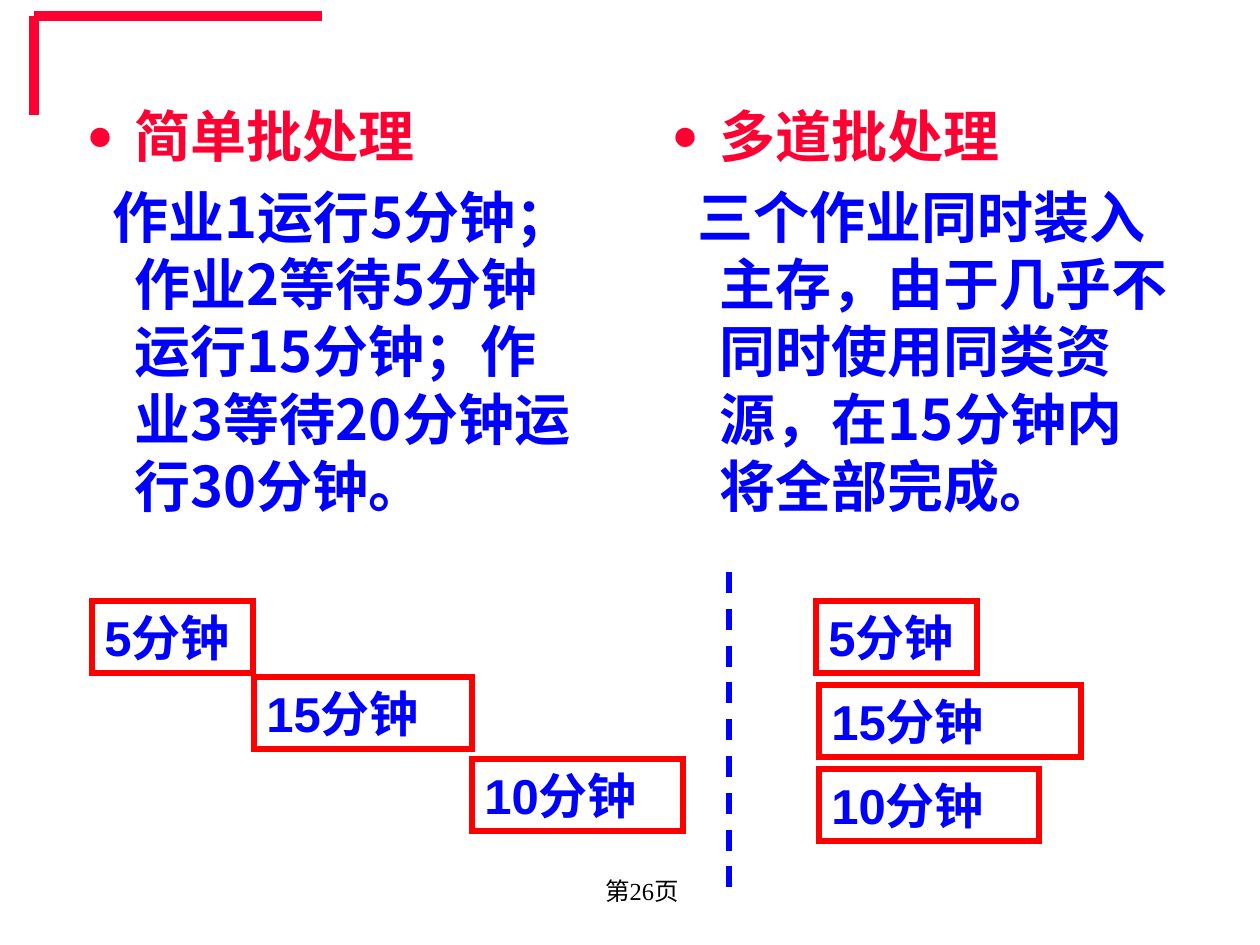
from lxml import etree
from pptx import Presentation
from pptx.dml.color import RGBColor
from pptx.enum.dml import MSO_LINE
from pptx.enum.shapes import MSO_CONNECTOR, MSO_SHAPE
from pptx.enum.text import MSO_ANCHOR, MSO_AUTO_SIZE, PP_ALIGN
from pptx.oxml.ns import qn
from pptx.util import Emu, Pt

STRAIGHT = MSO_CONNECTOR.STRAIGHT
RECTANGLE = MSO_SHAPE.RECTANGLE
DASH = MSO_LINE.DASH
TOP, MIDDLE = MSO_ANCHOR.TOP, MSO_ANCHOR.MIDDLE
LEFT, CENTER = PP_ALIGN.LEFT, PP_ALIGN.CENTER
NO_AUTOFIT = MSO_AUTO_SIZE.NONE

EMU_PER_PX = 914400 / 126
COLORS = {
    "heading": "FF0033",
    "body": "0000FF",
    "box": "FF0000",
    "page": "000000",
}
CJK_FONT = "Noto Sans CJK SC"
BOX_HEIGHT = 72


def px(length):
    return Emu(round(length * EMU_PER_PX))


def rgb(name):
    return RGBColor.from_string(COLORS[name])


def write(paragraph, text, size, color, font, bold=False, align=LEFT):
    paragraph.alignment = align
    run = paragraph.add_run()
    run.text = text
    run.font.size = Pt(size)
    run.font.bold = bold
    run.font.color.rgb = rgb(color)
    run.font.name = font
    east_asian = etree.SubElement(run._r.get_or_add_rPr(), qn("a:ea"))
    east_asian.set("typeface", CJK_FONT)


def set_frame(frame, wrap=True, anchor=TOP):
    frame.word_wrap = wrap
    frame.auto_size = NO_AUTOFIT
    frame.vertical_anchor = anchor
    frame.margin_left = frame.margin_right = Pt(7.2)
    frame.margin_top = frame.margin_bottom = Pt(3.6)


def set_list_format(paragraph, margin, indent, bullet=None):
    properties = paragraph._p.get_or_add_pPr()
    properties.set("marL", str(px(margin)))
    properties.set("indent", str(px(indent)))
    properties.set("hangingPunct", "0")
    if bullet is None:
        etree.SubElement(properties, qn("a:buNone"))
        return
    bullet_color = etree.SubElement(properties, qn("a:buClr"))
    etree.SubElement(bullet_color, qn("a:srgbClr")).set("val", COLORS["heading"])
    etree.SubElement(properties, qn("a:buSzPct")).set("val", "80000")
    etree.SubElement(properties, qn("a:buChar")).set("char", bullet)


def add_line(slide, start, end, color, width, dash=None):
    line = slide.shapes.add_connector(
        STRAIGHT, px(start[0]), px(start[1]), px(end[0]), px(end[1])
    )
    line.line.color.rgb = rgb(color)
    line.line.width = Pt(width)
    if dash is not None:
        line.line.dash_style = dash
    etree.SubElement(line._element.spPr, qn("a:effectLst"))


def add_corner(slide, left, top, width, height):
    for end in ((left + width, top), (left, top + height)):
        add_line(slide, (left, top), end, "heading", 6)


def add_page_number(slide, left, top, width, height):
    page = slide.shapes.add_textbox(px(left), px(top), px(width), px(height))
    set_frame(page.text_frame, anchor=MIDDLE)
    write(page.text_frame.paragraphs[0], "第26页", 14, "page",
          "Times New Roman", align=CENTER)


def fill_description(body, left, top, width, height, heading, detail):
    body.left, body.top = px(left), px(top)
    body.width, body.height = px(width), px(height)
    frame = body.text_frame
    set_frame(frame)

    title = frame.paragraphs[0]
    set_list_format(title, 48, -48, "●")
    title.space_before = Pt(0)
    write(title, heading, 32, "heading", CJK_FONT, bold=True)

    explanation = frame.add_paragraph()
    set_list_format(explanation, 48, -22)
    explanation.space_before = Pt(8)
    write(explanation, detail, 32, "body", CJK_FONT, bold=True)


def add_timeline(slide, left, top, jobs):
    timeline = slide.shapes.add_group_shape()
    for duration, x, y, width in jobs:
        job = timeline.shapes.add_shape(
            RECTANGLE, px(left + x), px(top + y), px(width), px(BOX_HEIGHT)
        )
        job.shadow.inherit = False
        job.fill.background()
        job.line.color.rgb = rgb("box")
        job.line.width = Pt(3)
        outline = job._element.spPr.find(qn("a:ln"))
        etree.SubElement(outline, qn("a:miter")).set("lim", "800000")
        set_frame(job.text_frame, wrap=False)
        write(job.text_frame.paragraphs[0], duration, 28, "body", "Arial", bold=True)


def main():
    presentation = Presentation()
    presentation.slide_width, presentation.slide_height = px(1260), px(945)
    slide = presentation.slides.add_slide(presentation.slide_layouts[3])
    title, simple_batch, multi_batch = slide.placeholders
    title._element.getparent().remove(title._element)

    add_corner(slide, 34, 16, 288, 99)
    add_page_number(slide, 511, 859, 262, 63)
    fill_description(
        simple_batch, 74, 95, 525, 486, "简单批处理",
        "作业1运行5分钟；作业2等待5分钟运行15分钟；作业3等待20分钟运行30分钟。",
    )
    fill_description(
        multi_batch, 659, 95, 525, 430, "多道批处理",
        "三个作业同时装入主存，由于几乎不同时使用同类资源，在15分钟内将全部完成。",
    )
    add_timeline(slide, 92, 601, [
        ("5分钟", 0, 0, 161),
        ("15分钟", 162, 76, 218),
        ("10分钟", 380, 158, 211),
    ])
    add_timeline(slide, 816, 601, [
        ("5分钟", 0, 0, 161),
        ("15分钟", 3, 84, 262),
        ("10分钟", 3, 168, 220),
    ])
    add_line(slide, (729, 572), (729, 887), "body", 3, DASH)
    presentation.save("out.pptx")


if __name__ == "__main__":
    main()
